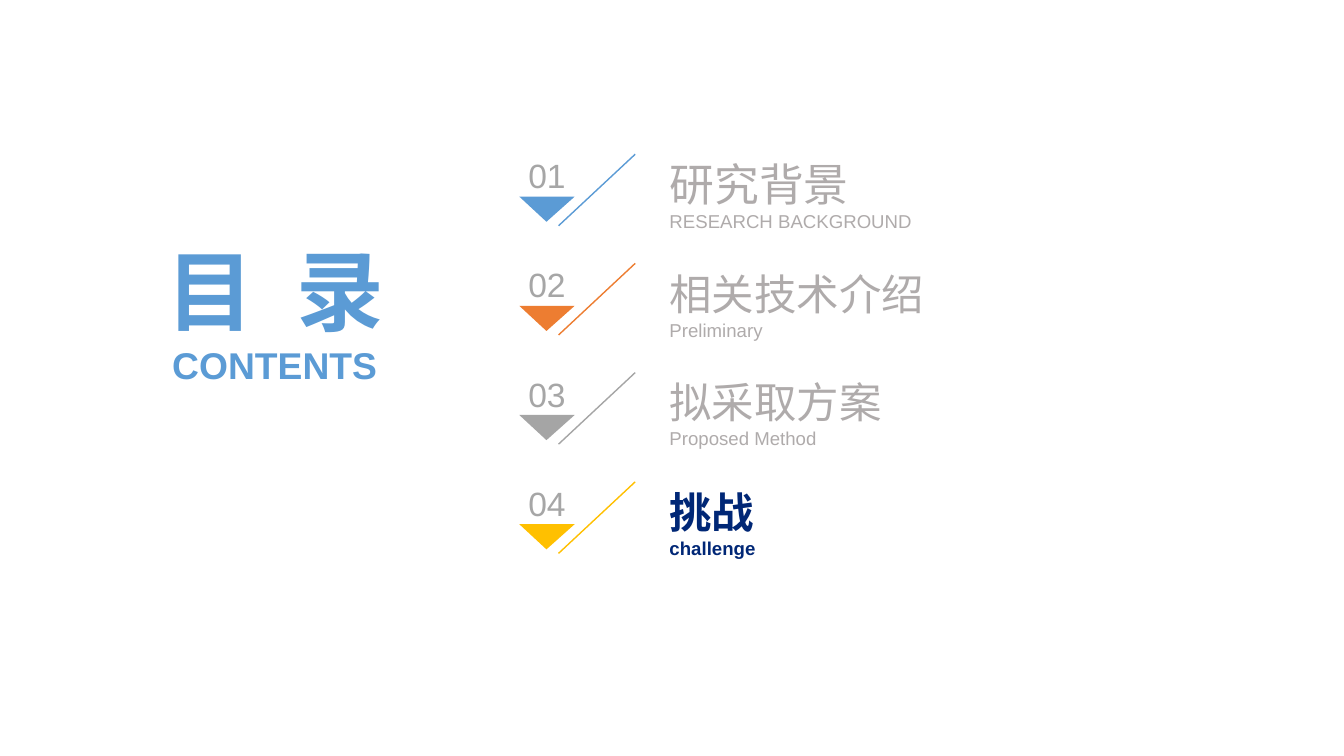
from lxml import etree
from pptx import Presentation
from pptx.dml.color import RGBColor
from pptx.enum.shapes import MSO_CONNECTOR
from pptx.enum.text import MSO_ANCHOR, MSO_AUTO_SIZE, PP_ALIGN
from pptx.oxml.ns import qn
from pptx.util import Inches, Pt

COLORS = {
    "blue": "5B9BD5", "orange": "ED7D31", "gray": "A5A5A5", "gold": "FFC000",
    "number": "A6A6A6", "muted": "AFABAB", "current": "002776",
}
LATIN, CJK = "Arial", "Noto Sans CJK SC"
ENTRY_TOP, ENTRY_PITCH = 1.55, 1.09
MARKER_TOP, MARKER_PITCH = 1.53, 3.25 / 3

# heading, subheading, width, height, heading size, heading font, text colour, marker colour
ENTRIES = [
    ("研究背景", "RESEARCH BACKGROUND", 3.18, 0.76, 32, CJK, "muted", "blue"),
    ("相关技术介绍", "Preliminary", 5.81, 0.76, 30.3, LATIN, "muted", "orange"),
    ("拟采取方案", "Proposed Method", 5.03, 0.73, 30.3, LATIN, "muted", "gray"),
    ("挑战", "challenge", 3.18, 0.73, 30.3, LATIN, "current", "gold"),
]


def rgb(name):
    return RGBColor.from_string(COLORS[name])


def prepare_frame(shape, anchor):
    frame = shape.text_frame
    settings = {
        "margin_left": 0, "margin_top": 0, "margin_right": 0, "margin_bottom": 0,
        "word_wrap": True, "vertical_anchor": anchor,
        "auto_size": MSO_AUTO_SIZE.SHAPE_TO_FIT_TEXT,
    }
    for name, value in settings.items():
        setattr(frame, name, value)
    return frame


def add_run(paragraph, text, size, color, bold=False, font=LATIN):
    run = paragraph.add_run()
    run.text = text
    for name, value in {"size": Pt(size), "bold": bold, "name": font}.items():
        setattr(run.font, name, value)
    run.font.color.rgb = rgb(color)
    east_asian = etree.Element(qn("a:ea"), typeface=CJK)
    run.font._element.find(qn("a:latin")).addnext(east_asian)
    return run


def add_label(shapes, box, text, size, color, anchor, bold=False):
    label = shapes.add_textbox(*map(Inches, box))
    paragraph = prepare_frame(label, anchor).paragraphs[0]
    paragraph.alignment = PP_ALIGN.CENTER
    add_run(paragraph, text, size, color, bold)


def add_marker(slide, number, top, color):
    """Group a slanted line, a downward triangle and the entry number."""
    shapes = slide.shapes.add_group_shape().shapes

    slash = shapes.add_connector(
        MSO_CONNECTOR.STRAIGHT,
        *map(Inches, (6.3, top, 5.54, top + 0.71)))
    slash.line.color.rgb = rgb(color)
    slash.line.width = Pt(1)
    etree.SubElement(slash._element.spPr, qn("a:effectLst"))

    outline = shapes.build_freeform(Inches(5.15), Inches(top + 0.42))
    outline.add_line_segments([
        (Inches(5.7), Inches(top + 0.42)),
        (Inches(5.42), Inches(top + 0.67)),
    ], close=True)
    triangle = outline.convert_to_shape()
    triangle.shadow.inherit = False
    triangle.fill.solid()
    triangle.fill.fore_color.rgb = rgb(color)
    triangle.line.fill.background()

    add_label(shapes, (5.13, top + 0.01, 0.59, 0.4), f"{number:02d}", 24,
              "number", MSO_ANCHOR.BOTTOM)


def add_entry(slide, index, entry):
    heading, subheading, width, height, size, font, color, marker_color = entry
    top = ENTRY_TOP + index * ENTRY_PITCH
    caption = slide.shapes.add_textbox(*map(Inches, (6.64, top, width, height)))
    frame = prepare_frame(caption, MSO_ANCHOR.MIDDLE)
    bold = color == "current"
    add_run(frame.paragraphs[0], heading, size, color, bold, font)
    add_run(frame.add_paragraph(), subheading, 13.3, color, bold)
    add_marker(slide, index + 1, MARKER_TOP + index * MARKER_PITCH, marker_color)


def set_title(slide):
    title = slide.shapes.title
    for name, value in {"left": 1.24, "top": 2.35, "width": 2.98, "height": 1.05}.items():
        setattr(title, name, Inches(value))
    paragraph = prepare_frame(title, MSO_ANCHOR.MIDDLE).paragraphs[0]
    paragraph.alignment = PP_ALIGN.CENTER
    paragraph.line_spacing = 1.0
    first, gap, last = (add_run(paragraph, part, 62.6, "blue", True) for part in "目 录")
    gap.font._element.set("spc", "1600")  # widens the space between the two characters


def main():
    deck = Presentation()
    deck.slide_width, deck.slide_height = Inches(13.33), Inches(7.5)
    slide = deck.slides.add_slide(deck.slide_layouts[5])
    set_title(slide)
    add_label(slide.shapes, (1.25, 3.4, 2.95, 0.45), "CONTENTS", 26.6, "blue",
              MSO_ANCHOR.TOP, bold=True)
    for index, entry in enumerate(ENTRIES):
        add_entry(slide, index, entry)
    deck.save("out.pptx")


if __name__ == "__main__":
    main()
